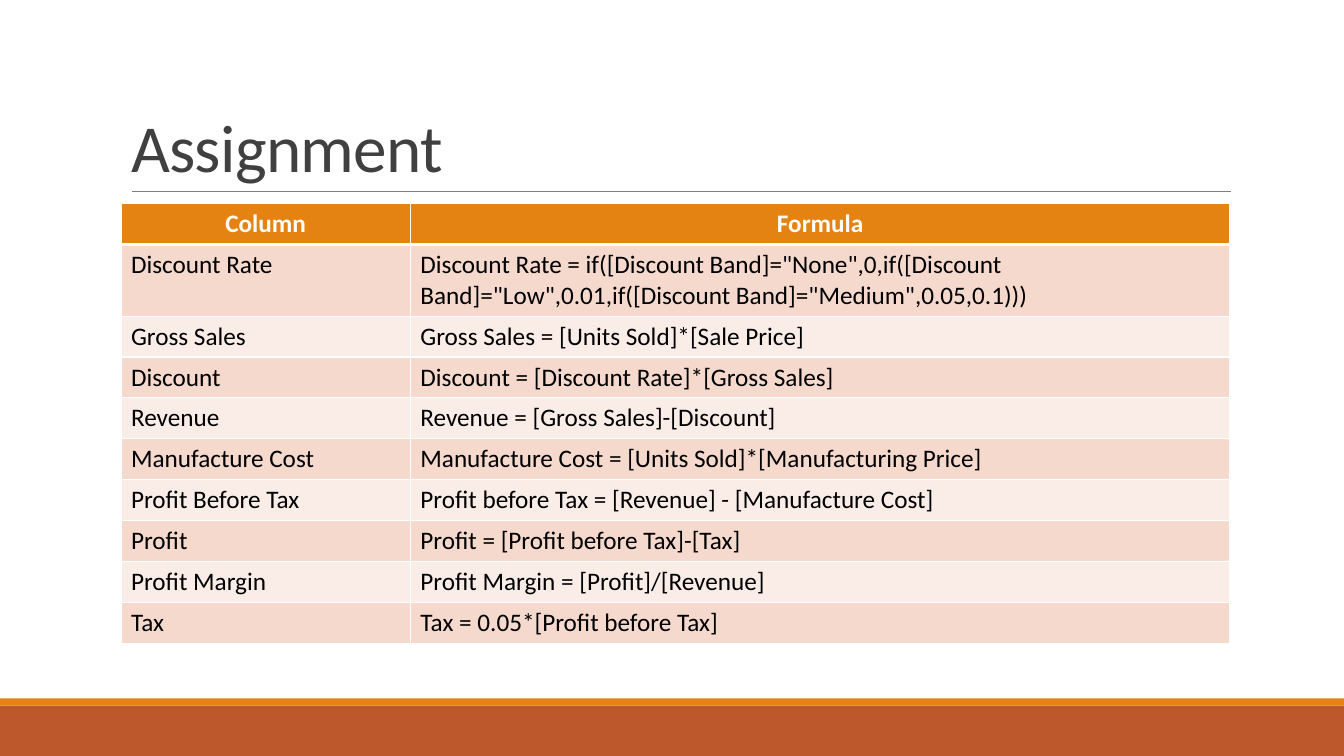
from dataclasses import dataclass

from lxml import etree
from pptx import Presentation
from pptx import util as u
from pptx.dml.color import RGBColor
from pptx.enum import shapes, text
from pptx.oxml import ns


@dataclass(frozen=True)
class Theme:
    font: str = "Calibri"
    title_size: float = 48
    table_size: float = 18
    title: str = "404040"
    rule: str = "808080"
    accent: str = "E48312"
    footer: str = "BD582C"
    bands: tuple = ("F5D9CC", "FAEDE7")
    white: str = "FFFFFF"
    black: str = "000000"


THEME = Theme()

HEADINGS = ("Column", "Formula")
FORMULAS = (
    ("Discount Rate", 'Discount Rate = if([Discount Band]="None",0,if([Discount Band]="Low",0.01,'
                      'if([Discount Band]="Medium",0.05,0.1)))'),
    ("Gross Sales", "Gross Sales = [Units Sold]*[Sale Price]"),
    ("Discount", "Discount = [Discount Rate]*[Gross Sales]"),
    ("Revenue", "Revenue = [Gross Sales]-[Discount]"),
    ("Manufacture Cost", "Manufacture Cost = [Units Sold]*[Manufacturing Price]"),
    ("Profit Before Tax", "Profit before Tax = [Revenue] - [Manufacture Cost]"),
    ("Profit", "Profit = [Profit before Tax]-[Tax]"),
    ("Profit Margin", "Profit Margin = [Profit]/[Revenue]"),
    ("Tax", "Tax = 0.05*[Profit before Tax]"),
)


def set_values(target, values):
    for name, value in values.items():
        setattr(target, name, value)


def paint(fill, color):
    fill.solid()
    fill.fore_color.rgb = RGBColor.from_string(color)


def write(para, words, size, color, bold=False):
    span = para.add_run()
    span.text = words
    set_values(span.font, {"name": THEME.font, "size": u.Pt(size), "bold": bold})
    span.font.color.rgb = RGBColor.from_string(color)
    return span


def add_band(page, top, height, color):
    band = page.shapes.add_shape(shapes.MSO_SHAPE.RECTANGLE, u.Inches(0), u.Inches(top),
                                 u.Inches(13.33), u.Inches(height))
    band.shadow.inherit = False
    paint(band.fill, color)
    band.line.fill.background()


def add_rule(page, left, right, top):
    rule = page.shapes.add_connector(shapes.MSO_CONNECTOR.STRAIGHT, u.Inches(left),
                                     u.Inches(top), u.Inches(right), u.Inches(top))
    rule.line.width = u.Pt(0.5)
    rule.line.color.rgb = RGBColor.from_string(THEME.rule)
    etree.SubElement(rule.element.spPr, ns.qn("a:effectLst"))


def set_title(page, words):
    title = page.shapes.title
    set_values(title, {"left": u.Inches(1.2), "top": u.Inches(0.31),
                       "width": u.Inches(11), "height": u.Inches(1.59)})
    set_values(title.text_frame, {"vertical_anchor": text.MSO_ANCHOR.BOTTOM,
                                  "auto_size": text.MSO_AUTO_SIZE.NONE, "word_wrap": True})
    para = title.text_frame.paragraphs[0]
    set_values(para, {"alignment": text.PP_ALIGN.LEFT, "line_spacing": 0.85})
    span = write(para, words, THEME.title_size, THEME.title)
    span.font._element.set("spc", "-50")


def add_borders(cell, widths):
    properties = cell._tc.get_or_add_tcPr()
    for index, (side, width) in enumerate(widths.items()):
        border = etree.Element(ns.qn(f"a:ln{side}"), w=str(u.Pt(width)))
        fill = etree.SubElement(border, ns.qn("a:solidFill"))
        etree.SubElement(fill, ns.qn("a:srgbClr"), val=THEME.white)
        properties.insert(index, border)


def fill_cell(cell, words, row):
    header = row == 0
    paint(cell.fill, THEME.accent if header else THEME.bands[(row - 1) % 2])
    add_borders(cell, {"L": 1, "R": 1, "T": 3 if row == 1 else 1, "B": 3 if header else 1})
    para = cell.text_frame.paragraphs[0]
    para.alignment = text.PP_ALIGN.CENTER if header else text.PP_ALIGN.LEFT
    write(para, words, THEME.table_size, THEME.white if header else THEME.black, header)


def add_formula_table(page):
    rows = (HEADINGS, *FORMULAS)
    row_height = u.Inches(0.4)
    table = page.shapes.add_table(len(rows), len(HEADINGS), u.Inches(1.2), u.Inches(2.02),
                                  u.Inches(11), row_height * len(rows)).table
    for column, width in zip(table.columns, (2.87, 8.13)):
        column.width = u.Inches(width)
    for row, entries in enumerate(rows):
        table.rows[row].height = row_height
        for column, words in enumerate(entries):
            fill_cell(table.cell(row, column), words, row)


def main():
    deck = Presentation()
    set_values(deck, {"slide_width": u.Inches(13.33), "slide_height": u.Inches(7.5)})
    page = deck.slides.add_slide(deck.slide_layouts.get_by_name("Title Only"))
    paint(page.background.fill, THEME.white)
    add_band(page, 7, 0.5, THEME.footer)
    add_band(page, 6.93, 0.07, THEME.accent)
    add_rule(page, 1.31, 12.21, 1.9)
    set_title(page, "Assignment")
    add_formula_table(page)
    deck.save("out.pptx")


if __name__ == "__main__":
    main()
